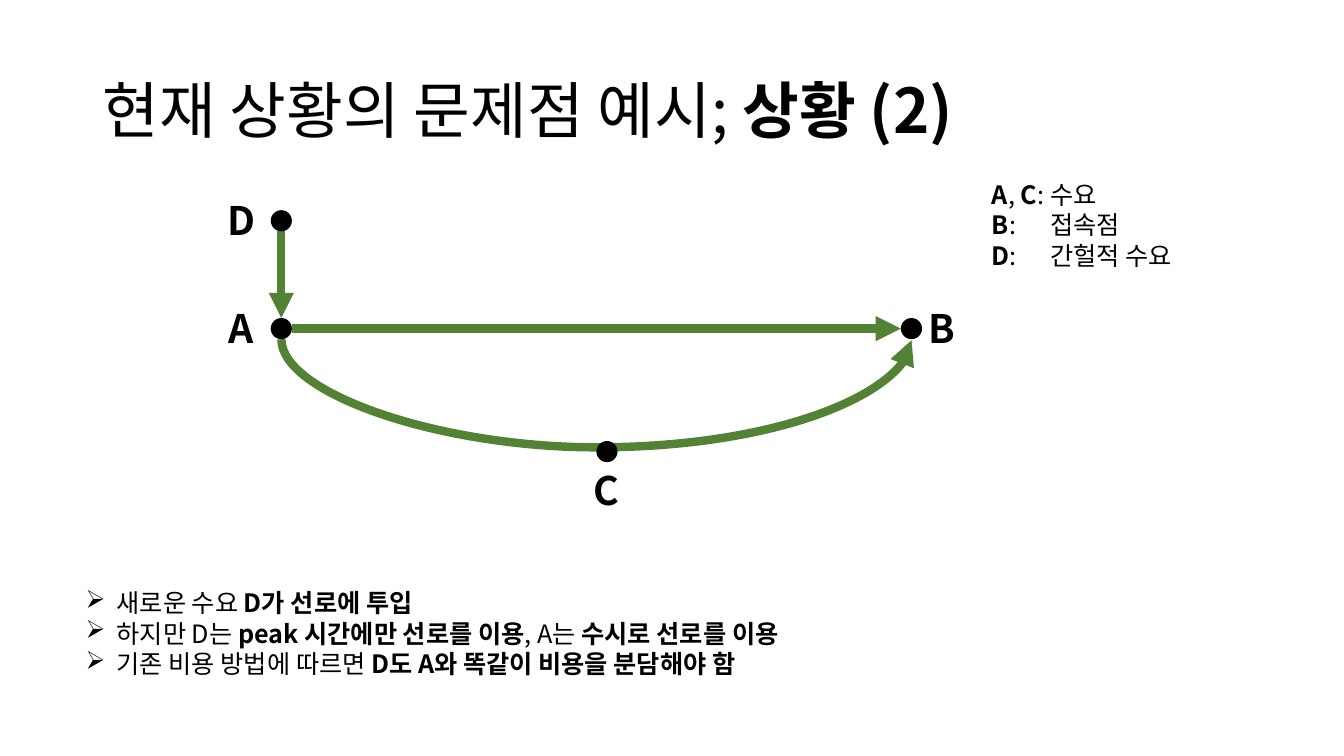
from dataclasses import dataclass

from pptx import Presentation
from pptx.dml.color import RGBColor
from pptx.enum.shapes import MSO_CONNECTOR, MSO_SHAPE
from pptx.enum.text import MSO_ANCHOR, PP_ALIGN
from pptx.oxml.ns import qn
from pptx.shapes.connector import Connector
from pptx.text.text import TextFrame
from pptx.util import Inches, Pt
from lxml import etree

OVAL = MSO_SHAPE.OVAL
LINE, CURVE = MSO_CONNECTOR.STRAIGHT, MSO_CONNECTOR.CURVE
MIDDLE, TOP = MSO_ANCHOR.MIDDLE, MSO_ANCHOR.TOP
LEFT, CENTER = PP_ALIGN.LEFT, PP_ALIGN.CENTER

FONT = "Noto Sans CJK KR"
COLORS = {"ink": "000000", "route": "548235"}
DOT = 0.21
RAD = DOT / 2
LABEL_H = 0.57

Part = tuple[str, bool]
Box = tuple[float, float, float, float]


@dataclass
class Node:
    name: str
    x: float
    y: float
    label_x: float
    label_y: float
    label_w: float


NODES = {
    node.name: node
    for node in (
        Node("A", 2.79, 3.26, 2.12, 2.97, 0.55),
        Node("B", 9.04, 3.26, 9.03, 2.97, 0.63),
        Node("C", 6.02, 4.48, 5.7, 4.58, 0.63),
        Node("D", 2.79, 2.19, 2.12, 1.9, 0.55),
    )
}

TITLE: list[list[Part]] = [[("현재 상황의 문제점 예시; ", False), ("상황 (2)", True)]]
LEGEND: list[list[Part]] = [
    [("A", True), (",", False), (" C", True), (": 수요", False)],
    [("B", True), (":\t접속점", False)],
    [("D", True), (":\t간헐적 수요", False)],
]
NOTES: list[list[Part]] = [
    [("새로운 수요 ", False), ("D가 선로에 투입", True)],
    [("하지만 D는 ", False), ("peak 시간에만 선로를 이용", True),
     (", A는 ", False), ("수시로 선로를 이용", True)],
    [("기존 비용 방법에 따르면 ", False), ("D도 A와 똑같이 비용을 분담해야 함", True)],
]


def color(name: str) -> RGBColor:
    return RGBColor.from_string(COLORS[name])


def add_text(shapes, box: Box, lines: list[list[Part]], size: float,
             align=LEFT, anchor=TOP) -> TextFrame:
    frame = shapes.add_textbox(*map(Inches, box)).text_frame
    frame.word_wrap = True
    frame.vertical_anchor = anchor
    for i, parts in enumerate(lines):
        para = frame.paragraphs[0] if i == 0 else frame.add_paragraph()
        para.alignment = align
        for text, bold in parts:
            run = para.add_run()
            run.text = text
            run.font.name = FONT
            run.font.size = Pt(size)
            run.font.bold = bold
            run.font.color.rgb = color("ink")
            east = etree.SubElement(run.font._element, qn("a:ea"))
            east.set("typeface", FONT)
    return frame


def add_stop(frame: TextFrame, pos: float) -> None:
    """Put one left tab stop on every paragraph."""
    for para in frame.paragraphs:
        tabs = etree.SubElement(para._p.get_or_add_pPr(), qn("a:tabLst"))
        etree.SubElement(tabs, qn("a:tab"), pos=str(Inches(pos)), algn="l")


def add_marks(frame: TextFrame, char: str, indent: float) -> None:
    """Give every paragraph a bullet with a hanging indent."""
    for para in frame.paragraphs:
        props = para._p.get_or_add_pPr()
        props.set("marL", str(Inches(indent)))
        props.set("indent", str(-Inches(indent)))
        etree.SubElement(props, qn("a:buChar"), char=char)


def add_arrow(shapes, kind, x1: float, y1: float, x2: float, y2: float) -> Connector:
    arrow = shapes.add_connector(kind, *map(Inches, (x1, y1, x2, y2)))
    arrow.line.color.rgb = color("route")
    arrow.line.width = Pt(6)
    etree.SubElement(arrow.line._get_or_add_ln(), qn("a:tailEnd"), type="triangle")
    etree.SubElement(arrow._element.spPr, qn("a:effectLst"))
    return arrow


def add_sag(shapes, x1: float, x2: float, y: float, depth: float) -> None:
    """Draw an arrow that hangs below its two ends, as a turned connector."""
    thin, span = 0.01, x2 - x1
    mid = (x1 + x2) / 2
    left, top = mid - thin / 2, y + thin / 2 - span / 2
    arrow = add_arrow(shapes, CURVE, left, top, left + thin, top + span)
    props = arrow._element.spPr
    frame = props.find(qn("a:xfrm"))
    frame.set("rot", str(270 * 60000))
    frame.set("flipH", "1")
    guides = props.find(qn("a:prstGeom")).find(qn("a:avLst"))
    ratio = round(depth / thin * 100000)
    etree.SubElement(guides, qn("a:gd"), name="adj1", fmla=f"val {ratio}")


def add_node(shapes, node: Node) -> None:
    dot = shapes.add_shape(
        OVAL, *map(Inches, (node.x - RAD, node.y - RAD, DOT, DOT)))
    dot.shadow.inherit = False
    dot.fill.solid()
    dot.fill.fore_color.rgb = color("ink")
    dot.line.fill.background()
    box = (node.label_x, node.label_y, node.label_w, LABEL_H)
    add_text(shapes, box, [[(node.name, True)]], 28, CENTER)


def main() -> None:
    deck = Presentation()
    deck.slide_width, deck.slide_height = Inches(13.33), Inches(7.5)
    shapes = deck.slides.add_slide(deck.slide_layouts[6]).shapes

    title = add_text(shapes, (0.92, 0.4, 11.5, 1.45), TITLE, 44, anchor=MIDDLE)
    title.paragraphs[0].line_spacing = 0.9

    a, b, d = NODES["A"], NODES["B"], NODES["D"]
    add_sag(shapes, a.x, b.x, a.y + RAD, 1.09)
    add_arrow(shapes, LINE, a.x + RAD, a.y, b.x - RAD, b.y)
    add_arrow(shapes, LINE, d.x, d.y + RAD, a.x, a.y - RAD)
    for node in NODES.values():
        add_node(shapes, node)

    add_stop(add_text(shapes, (9.74, 1.73, 2.37, 1.01), LEGEND, 18), 0.58)
    add_marks(add_text(shapes, (0.75, 5.78, 10.74, 1.01), NOTES, 18), "➢", 0.31)
    deck.save("out.pptx")


if __name__ == "__main__":
    main()
